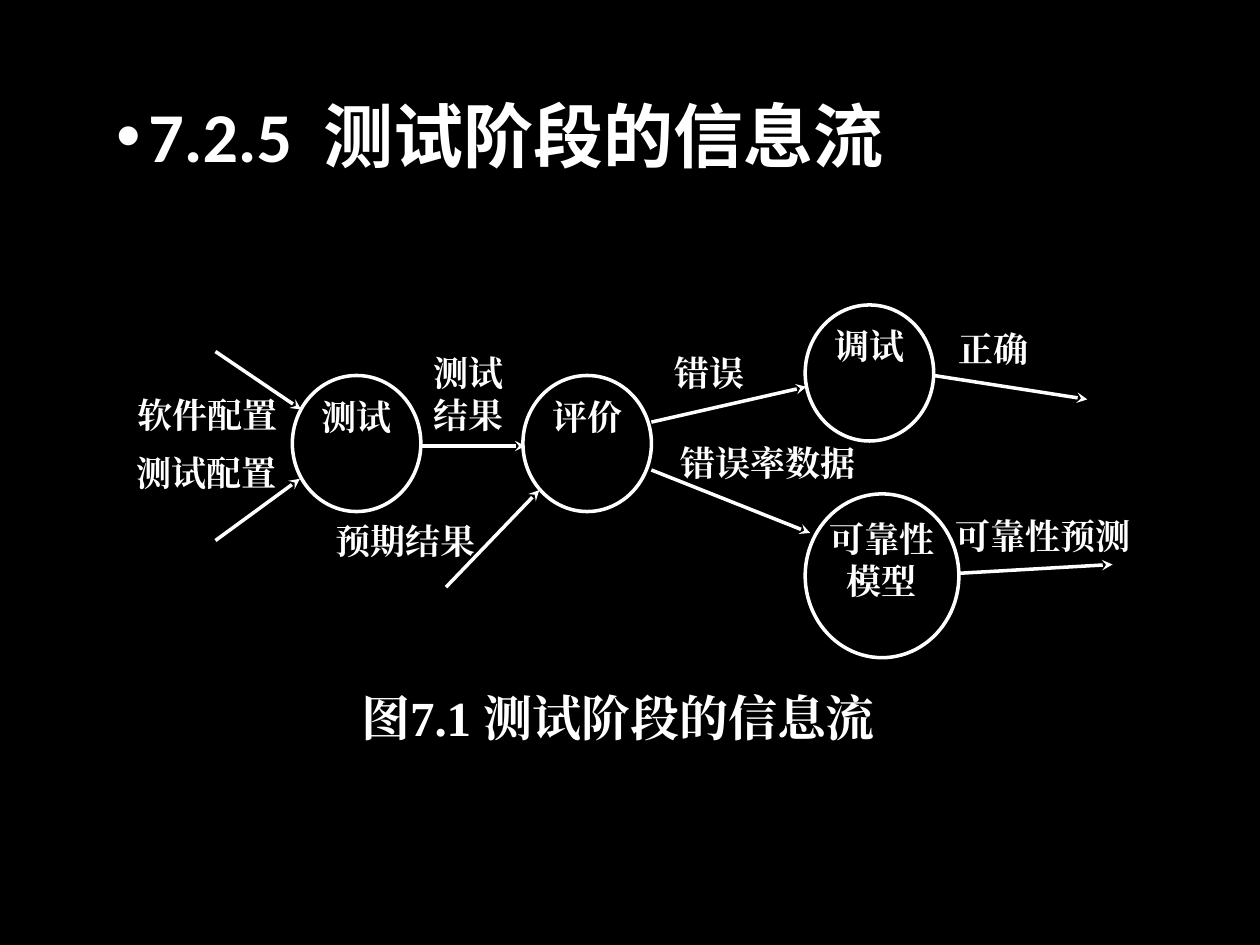
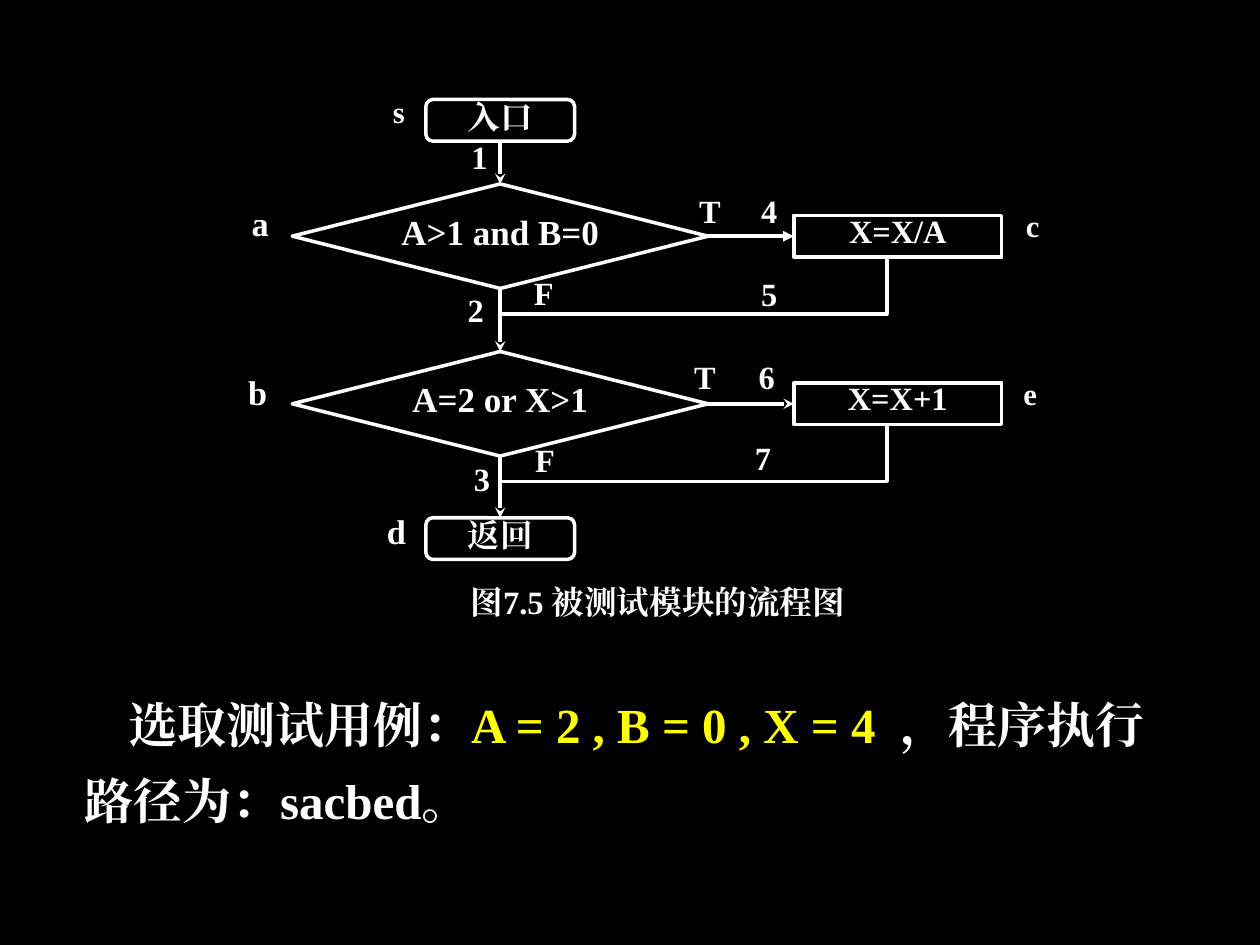
from lxml import etree
from pptx import Presentation
from pptx.dml.color import RGBColor
from pptx.enum.shapes import MSO_CONNECTOR, MSO_SHAPE
from pptx.enum.text import MSO_ANCHOR, PP_ALIGN
from pptx.oxml.ns import qn
from pptx.util import Inches, Pt

BLACK = RGBColor(0x00, 0x00, 0x00)
WHITE = RGBColor(0xFF, 0xFF, 0xFF)
YELLOW = RGBColor(0xFF, 0xFF, 0x00)
SERIF, SANS, CJK = "Times New Roman", "Calibri", "Noto Sans CJK SC"
STRAIGHT = MSO_CONNECTOR.STRAIGHT
OVAL, RECT = MSO_SHAPE.OVAL, MSO_SHAPE.RECTANGLE
TERMINAL = MSO_SHAPE.FLOWCHART_ALTERNATE_PROCESS
DECISION = MSO_SHAPE.FLOWCHART_DECISION
LEFT, CENTER, TOP = PP_ALIGN.LEFT, PP_ALIGN.CENTER, MSO_ANCHOR.TOP
UP_SIDE, DOWN_SIDE, LEFT_SIDE, RIGHT_SIDE = 0, 2, 1, 3

# Information flow: runs are (text, font, colour, letter spacing in points)
TITLE = [("7.2.5", SANS, WHITE, 0), (" ", SANS, WHITE, 9),
         ("测试阶段的信息流", CJK, WHITE, 0)]
STAGES = [  # text, left, top, width, height
    ("测试", 2.32, 2.98, 1.02, 1.08),
    ("评价", 4.15, 2.98, 1.02, 1.08),
    ("调试", 6.39, 2.42, 1.02, 1.08),
    ("可靠性模型", 6.39, 3.92, 1.22, 1.3),
]
FLOWS = [  # from x, y, to x, y
    (1.71, 2.79, 2.39, 3.25), (1.71, 4.29, 2.38, 3.8),
    (3.34, 3.54, 4.17, 3.54), (3.54, 4.66, 4.28, 3.89),
    (5.17, 3.35, 6.4, 3.07), (5.17, 3.73, 6.43, 4.23),
    (7.41, 2.98, 8.63, 3.17), (7.61, 4.55, 8.83, 4.48),
]
FLOW_LABELS = [  # text, left, top, width, height, alignment
    ("软件配置", 1.09, 3.12, 1.22, 0.37, LEFT),
    ("测试配置", 1.08, 3.58, 1.22, 0.38, LEFT),
    ("测试结果", 3.4, 2.79, 0.64, 0.91, CENTER),
    ("预期结果", 2.66, 4.12, 1.22, 0.37, LEFT),
    ("错误", 5.02, 2.79, 1.22, 0.38, CENTER),
    ("错误率数据", 5.4, 3.5, 1.42, 0.38, LEFT),
    ("正确", 7.61, 2.6, 0.81, 0.37, LEFT),
    ("可靠性预测", 7.58, 4.08, 1.42, 0.38, LEFT),
]
FLOW_CAPTION = "图7.1 测试阶段的信息流"

# Flowchart of the tested module
TERMINALS = [("入口", 0.79), ("返回", 4.11)]
BRANCHES = [  # condition, action, arrowhead
    ("A>1 and B=0", "X=X/A", "triangle"),
    ("A=2 or X>1", "X=X+1", "stealth"),
]
NODE_NAMES = [  # text, left, top, size
    ("s", 2.81, 0.79, 17.5), ("a", 1.71, 1.67, 19.6), ("b", 1.69, 3.01, 19.6),
    ("d", 2.79, 4.11, 19.6), ("c", 7.84, 1.7, 17.5), ("e", 7.82, 3.03, 17.5),
]
EDGE_NAMES = [  # text, left, top
    ("T", 5.28, 1.55), ("T", 5.24, 2.87), ("F", 3.96, 2.2), ("F", 3.97, 3.53),
    ("1", 3.45, 1.12), ("2", 3.42, 2.34), ("3", 3.47, 3.68), ("4", 5.75, 1.55),
    ("5", 5.75, 2.21), ("6", 5.73, 2.87), ("7", 5.7, 3.51),
]
CHART_CAPTION = "图7.5 被测试模块的流程图"
TEST_CASE = [("选取测试用例：", SERIF, WHITE, 0),
             ("A = 2 , B = 0 , X = 4", SERIF, YELLOW, 0), (" ", SERIF, YELLOW, 7),
             ("，程序执行路径为：sacbed。", SERIF, WHITE, 0)]

AXIS = 3.97                       # centre line of the flowchart
BRANCH_TOP, BRANCH_STEP = 1.46, 1.33
DECISION_W, DECISION_H = 3.3, 0.83
TERMINAL_W, BOX_H = 1.18, 0.33
ACTION_X, ACTION_W = 6.3, 1.65
RETURN_X, RETURN_DROP = 7.04, 0.45
LABEL_W = 0.71


def write(s, runs, size, align=CENTER, spacing=1.0, inset=(0, 0)):
    """Fill a shape with one bold paragraph; a plain string is one serif run."""
    if isinstance(runs, str):
        runs = [(runs, SERIF, WHITE, 0)]
    tf = s.text_frame
    tf.word_wrap = True
    tf.vertical_anchor = TOP
    tf.margin_left = tf.margin_right = Inches(inset[0])
    tf.margin_top = tf.margin_bottom = Inches(inset[1])
    p = tf.paragraphs[0]
    p.alignment = align
    p.line_spacing = spacing
    for text, font, color, tracking in runs:
        r = p.add_run()
        r.text = text
        r.font.size = Pt(size)
        r.font.bold = True
        r.font.name = font
        r.font.color.rgb = color
        rPr = r.font._element
        etree.SubElement(rPr, qn("a:ea"), typeface=font)
        if tracking:
            rPr.set("spc", str(tracking * 100))
    return p


def label(slide, runs, x, y, w, h, size, **style):
    sp = slide.shapes.add_textbox(Inches(x), Inches(y), Inches(w), Inches(h))
    return write(sp, runs, size, **style)


def outline(s):
    s.shadow.inherit = False
    s.fill.background()
    s.line.color.rgb = WHITE
    s.line.width = Pt(2)


def node(slide, kind, text, x, y, w, h, size, spacing=1.0):
    s = slide.shapes.add_shape(kind, Inches(x), Inches(y), Inches(w), Inches(h))
    outline(s)
    write(s, text, size, spacing=spacing)
    return s


def arrow(slide, x1, y1, x2, y2, head="stealth"):
    c = slide.shapes.add_connector(STRAIGHT, Inches(x1), Inches(y1),
                                   Inches(x2), Inches(y2))
    c.line.color.rgb = WHITE
    c.line.width = Pt(2)
    etree.SubElement(c.line._get_or_add_ln(), qn("a:tailEnd"), type=head)
    etree.SubElement(c._element.spPr, qn("a:effectLst"))
    return c


def join(slide, start, start_side, end, end_side, head="stealth"):
    c = arrow(slide, 0, 0, 1, 1, head)
    c.begin_connect(start, start_side)
    c.end_connect(end, end_side)


def new_slide(prs):
    slide = prs.slides.add_slide(prs.slide_layouts[6])
    slide.background.fill.solid()
    slide.background.fill.fore_color.rgb = BLACK
    return slide


def build_information_flow(prs):
    slide = new_slide(prs)

    # Bulleted title
    p = label(slide, TITLE, 0.83, 0.76, 6.93, 0.82, 40,
              align=LEFT, spacing=0.9, inset=(0.1, 0.05))
    p.space_before = Pt(10)
    pPr = p._p.get_or_add_pPr()
    pPr.set("marL", str(Inches(0.25)))
    pPr.set("indent", str(-Inches(0.25)))
    color = etree.SubElement(pPr, qn("a:buClr"))
    etree.SubElement(color, qn("a:srgbClr"), val=str(WHITE))
    etree.SubElement(pPr, qn("a:buFont"), typeface="Arial")
    etree.SubElement(pPr, qn("a:buChar"), char="•")

    # Stages, arrows and labels
    for text, *box in STAGES:
        node(slide, OVAL, text, *box, 20)
    for ends in FLOWS:
        arrow(slide, *ends)
    for text, x, y, w, h, align in FLOW_LABELS:
        label(slide, text, x, y, w, h, 20, align=align)
    label(slide, FLOW_CAPTION, 2.65, 5.46, 4.51, 0.71, 28)


def build_flowchart(prs):
    slide = new_slide(prs)

    # Main column and its branches
    entry, leave = [node(slide, TERMINAL, text, AXIS - TERMINAL_W / 2, y,
                         TERMINAL_W, BOX_H, 18.5, 0.9) for text, y in TERMINALS]
    column = [entry]
    for i, (condition, action, head) in enumerate(BRANCHES):
        top = BRANCH_TOP + i * BRANCH_STEP
        action_top = top + (DECISION_H - BOX_H) / 2
        decision = node(slide, DECISION, condition, AXIS - DECISION_W / 2, top,
                        DECISION_W, DECISION_H, 20)
        box = node(slide, RECT, action, ACTION_X, action_top,
                   ACTION_W, BOX_H, 18.5, 0.9)
        join(slide, decision, RIGHT_SIDE, box, LEFT_SIDE, head)
        column.append(decision)

        # Way back from the action to the main column
        bottom = action_top + BOX_H
        fb = slide.shapes.build_freeform(Inches(RETURN_X), Inches(bottom))
        fb.add_line_segments([(Inches(RETURN_X), Inches(bottom + RETURN_DROP)),
                              (Inches(AXIS), Inches(bottom + RETURN_DROP))],
                             close=False)
        outline(fb.convert_to_shape())
    column.append(leave)
    for upper, lower in zip(column, column[1:]):
        join(slide, upper, DOWN_SIDE, lower, UP_SIDE)

    # Node and edge names
    for text, x, y, size in NODE_NAMES:
        label(slide, text, x, y, LABEL_W, BOX_H, size, spacing=0.8)
    for text, x, y in EDGE_NAMES:
        label(slide, text, x, y, LABEL_W, BOX_H, 18.5, spacing=0.9)

    # Caption and test case
    label(slide, CHART_CAPTION, 2.39, 4.68, 5.66, BOX_H, 18.6, spacing=0.8)
    p = label(slide, TEST_CASE, 0.67, 5.32, 8.65, 1.32, 28,
              align=LEFT, spacing=1.3, inset=(0, 0.05))
    p._p.get_or_add_pPr().set("indent", str(Inches(0.35)))


def main():
    prs = Presentation()
    prs.slide_width, prs.slide_height = Inches(10), Inches(7.5)
    build_information_flow(prs)
    build_flowchart(prs)
    prs.save("out.pptx")


if __name__ == "__main__":
    main()
